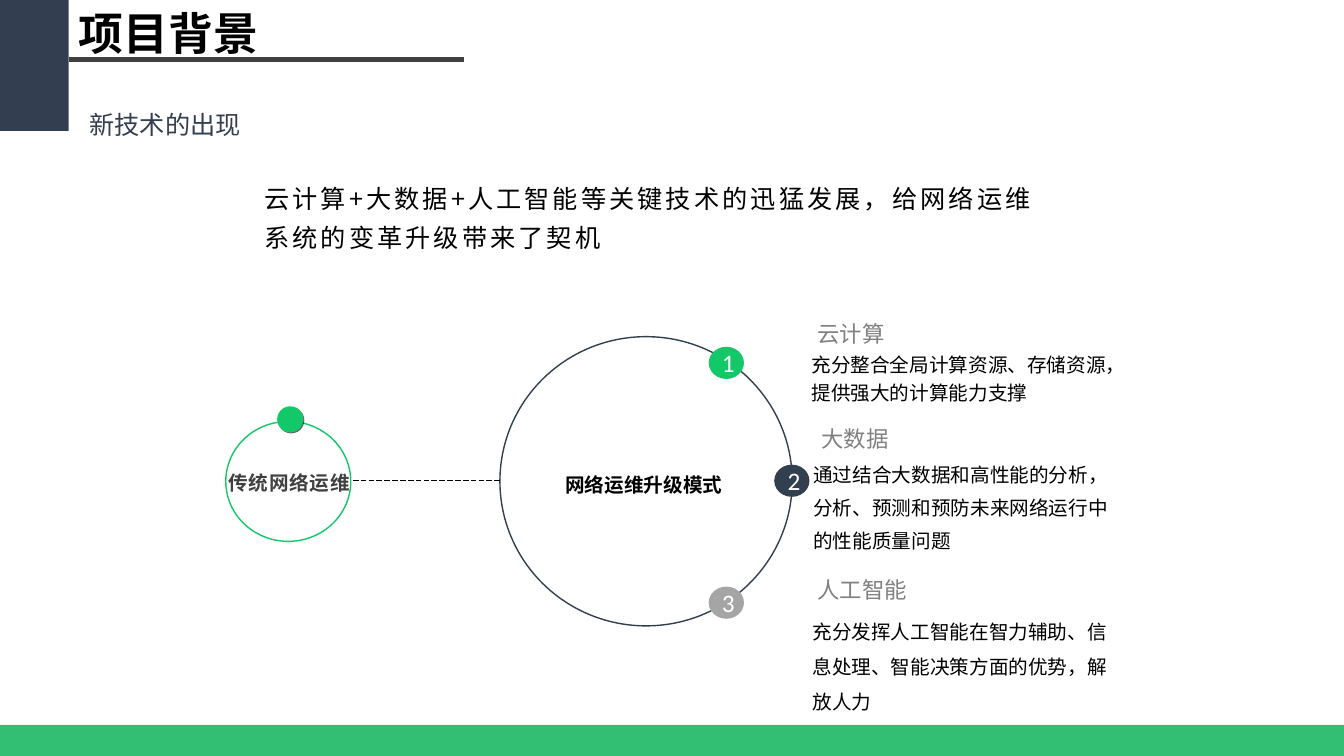
from lxml.etree import SubElement
from pptx import Presentation
from pptx.dml.color import RGBColor
from pptx.enum.dml import MSO_LINE
from pptx.enum.lang import MSO_LANGUAGE_ID
from pptx.enum.shapes import MSO_CONNECTOR, MSO_SHAPE
from pptx.enum.text import MSO_ANCHOR, MSO_AUTO_SIZE, PP_ALIGN
from pptx.oxml.ns import qn
from pptx.util import Pt

SANS = "Noto Sans CJK SC"
LATIN = "Calibri"
GREEN = "12C869"
NAVY = "323F4F"
SLATE = "333F50"
GRAY = "808080"
BLACK = "000000"
TIGHT = (5.8, 2.9)
FLUSH = (0, 0)

ITEMS = [
    ("云计算", (578.2, 220.3, 74.2, 31), (506.2, 247.7), GREEN,
     "充分整合全局计算资源、存储资源，提供强大的计算能力支撑", (579.6, 248.4), 1.2),
    ("大数据", (581, 295.2, 150.5, 31), (553, 331.9), NAVY,
     "通过结合大数据和高性能的分析，分析、预测和预防未来网络运行中的性能质量问题", (581, 324), 1.4),
    ("人工智能", (578.2, 403.2, 78.5, 31), (506.2, 419), "A5A5A5",
     "充分发挥人工智能在智力辅助、信息处理、智能决策方面的优势，解放人力", (580.3, 434.2), 1.5),
]


def tint(target, color):
    target.rgb = RGBColor.from_string(color)


def apply(target, values):
    for name, value in values.items():
        setattr(target, name, value)


def write(shape, text, size, color, face=SANS, bold=False, align=PP_ALIGN.LEFT,
          space=1.0, inset=(7.2, 3.6), anchor=MSO_ANCHOR.TOP, wrap=True,
          grow=True, track=0):
    frame = shape.text_frame
    side, edge = inset
    fit = MSO_AUTO_SIZE.SHAPE_TO_FIT_TEXT if grow else MSO_AUTO_SIZE.NONE
    apply(frame, {
        "margin_left": Pt(side), "margin_right": Pt(side),
        "margin_top": Pt(edge), "margin_bottom": Pt(edge),
        "vertical_anchor": anchor, "word_wrap": wrap, "auto_size": fit,
    })
    para = frame.paragraphs[0]
    apply(para, {"alignment": align, "line_spacing": space, "space_before": Pt(0)})
    run = para.add_run()
    run.text = text
    apply(run.font, {"size": Pt(size), "bold": bold, "name": face,
                     "language_id": MSO_LANGUAGE_ID.SIMPLIFIED_CHINESE})
    tint(run.font.color, color)
    props = run._r.get_or_add_rPr()
    SubElement(props, qn("a:ea")).set("typeface", SANS)
    if track:
        props.set("spc", str(int(track * 100)))


def label(slide, box, text, size, color, **style):
    shape = slide.shapes.add_textbox(*map(Pt, box))
    write(shape, text, size, color, **style)


def form(slide, kind, box, fill=None, edge=None, alpha=100):
    shape = slide.shapes.add_shape(kind, *map(Pt, box))
    shape.shadow.inherit = False
    if fill:
        shape.fill.solid()
        tint(shape.fill.fore_color, fill)
        if alpha < 100:
            tone = shape._element.spPr.find(qn("a:solidFill"))[0]
            SubElement(tone, qn("a:alpha")).set("val", str(alpha * 1000))
    else:
        shape.fill.background()
    if edge:
        tint(shape.line.color, edge)
        shape.line.width = Pt(1)
    else:
        shape.line.fill.background()
    return shape


def rule(slide, left, right, top, color, width, dash=None):
    line = slide.shapes.add_connector(
        MSO_CONNECTOR.STRAIGHT, Pt(left), Pt(top), Pt(right), Pt(top))
    tint(line.line.color, color)
    apply(line.line, {"width": Pt(width), "dash_style": dash})
    SubElement(line._element.spPr, qn("a:effectLst"))


def head(slide):
    title = slide.shapes.title
    apply(title, dict(zip(("left", "top", "width", "height"),
                          map(Pt, (49, 0.7, 144.7, 46)))))
    write(title, "项目背景", 32, BLACK, bold=True)
    form(slide, MSO_SHAPE.RECTANGLE, (0, 0, 49, 93.6), SLATE)
    rule(slide, 49, 331.2, 42.5, "404040", 3)
    label(slide, (56.9, 74.2, 310.3, 28.8), "新技术的出现", 18, SLATE, face=LATIN)
    form(slide, MSO_SHAPE.RECTANGLE, (0, 517.7, 960, 22.3), "00B050", alpha=80)
    label(slide, (182.9, 121.7, 574.6, 59.8),
          "云计算+大数据+人工智能等关键技术的迅猛发展，给网络运维系统的变革升级带来了契机",
          18, BLACK, space=1.3, inset=TIGHT, track=2.2)


def rings(slide):
    form(slide, MSO_SHAPE.OVAL, (357.1, 240.5, 208.8, 206.6), edge=NAVY)
    label(slide, (396.7, 329, 129.6, 29.5), "网络运维升级模式", 14, BLACK,
          bold=True, align=PP_ALIGN.JUSTIFY, space=1.3)
    rule(slide, 252, 357.1, 343.4, BLACK, 0.5, MSO_LINE.LONG_DASH)
    form(slide, MSO_SHAPE.OVAL, (161.3, 301, 89.3, 85.7), edge=GREEN)
    label(slide, (154.8, 332.6, 102.2, 24.5), "传统网络运维", 14, "404040",
          bold=True, align=PP_ALIGN.RIGHT, wrap=False, track=0.5)
    form(slide, MSO_SHAPE.OVAL, (198.7, 290.9, 18.7, 18.7), BLACK, alpha=60)
    form(slide, MSO_SHAPE.OVAL, (198, 290.2, 18.7, 18.7), GREEN)


def item(slide, count, name, box, spot, color, text, place, space):
    label(slide, box, name, 16, GRAY, align=PP_ALIGN.JUSTIFY, space=1.3, inset=TIGHT)
    dot = form(slide, MSO_SHAPE.OVAL, (*spot, 25.2, 23), color)
    write(dot, str(count), 18, "FFFFFF", face=LATIN, align=PP_ALIGN.CENTER,
          inset=TIGHT, anchor=MSO_ANCHOR.MIDDLE, grow=False)
    label(slide, (*place, 218.9, 43.9), text, 14, BLACK,
          space=space, inset=FLUSH, grow=False)


def main():
    deck = Presentation()
    apply(deck, {"slide_width": Pt(960), "slide_height": Pt(540)})
    slide = deck.slides.add_slide(deck.slide_layouts[5])
    head(slide)
    rings(slide)
    for count, entry in enumerate(ITEMS, 1):
        item(slide, count, *entry)
    deck.save("out.pptx")


if __name__ == "__main__":
    main()
